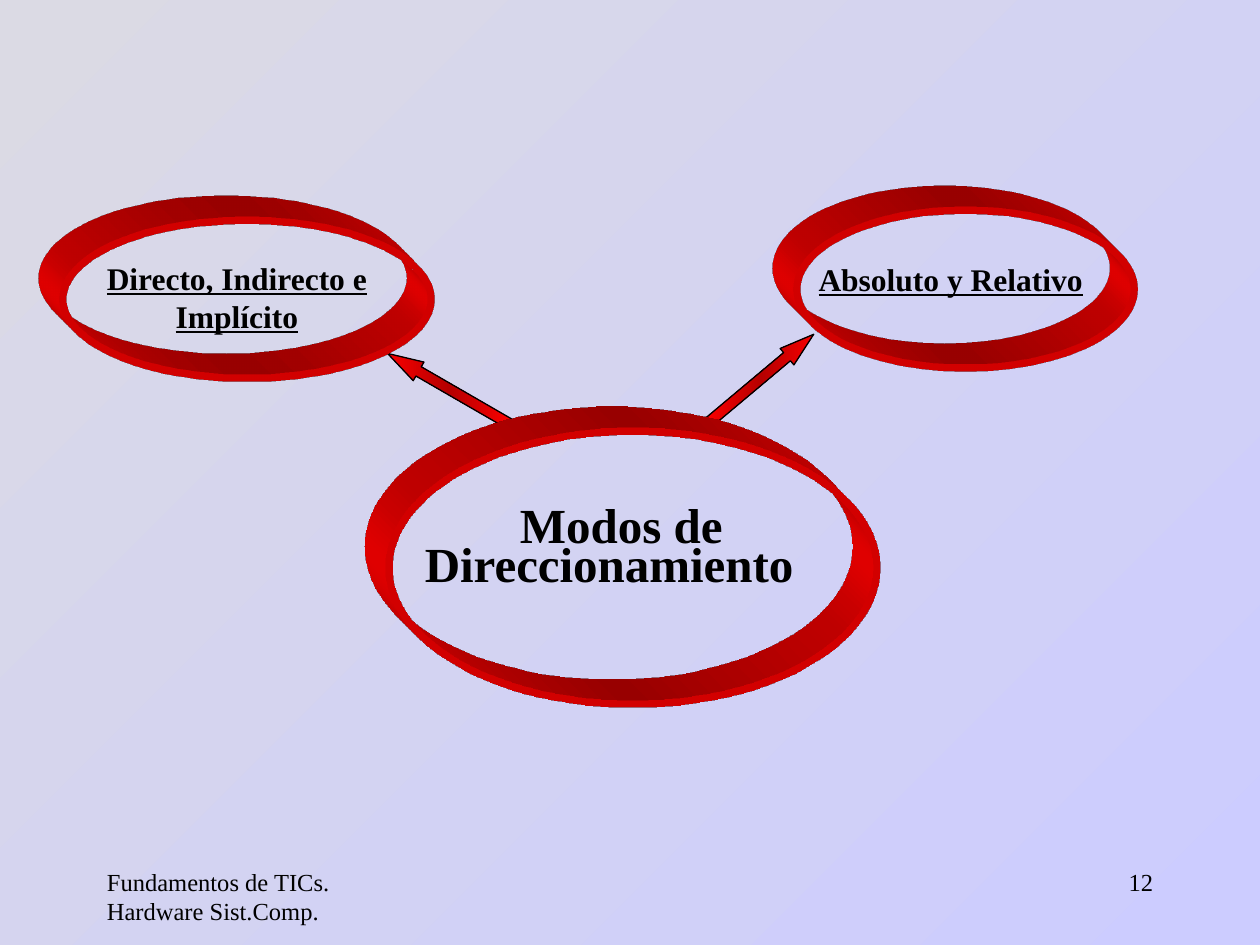
from copy import deepcopy

from lxml import etree
from pptx import Presentation
from pptx.dml.color import RGBColor
from pptx.enum import shapes, text
from pptx.oxml import ns
from pptx.util import Inches, Pt

FONT = "Times New Roman"
BLACK, RED, DARK_RED = "000000", "FF0000", "B60000"
BACKGROUND = ["DBDAE4", "CCCCFF"]

# Content: boxes are left, top, width, height in inches
FOOTERS = [
    ("Fundamentos de TICs. Hardware Sist.Comp.", 0.75, text.PP_ALIGN.LEFT),
    ("12", 7.17, text.PP_ALIGN.RIGHT),
]
MODES = [
    {
        "arrow": (shapes.MSO_SHAPE.LEFT_ARROW, (3, 3, 1.12, 0.17), 30, 1.68),
        "ring": (0.5, 1.75, 2.92, 1.25),
        "label": ("Directo, Indirecto e Implícito", (0.67, 2, 2.42, 0.71)),
    },
    {
        "arrow": (shapes.MSO_SHAPE.UP_ARROW, (5.96, 2.46, 0.17, 1.08), 50, 1.63),
        "ring": (6.33, 1.67, 2.67, 1.25),
        "label": ("Absoluto y Relativo", (6.33, 2.01, 2.43, 0.41)),
    },
]
MAIN_RING = (3.09, 3.42, 3.87, 2.17)
MAIN_LABEL = ("Modos de Direccionamiento", (2.67, 4.04, 4.33, 0.71))

# Depth of the rings, drawn towards the top left
SCENE = f"""<root {ns.nsdecls("a")}>
<a:scene3d><a:camera prst="legacyObliqueTopLeft"/>
<a:lightRig rig="legacyFlat3" dir="b"/></a:scene3d>
<a:sp3d extrusionH="430200" prstMaterial="legacyMatte">
<a:bevelT w="13500" h="13500" prst="angle"/>
<a:bevelB w="13500" h="13500" prst="angle"/>
<a:extrusionClr><a:srgbClr val="{RED}"/></a:extrusionClr>
<a:contourClr><a:srgbClr val="{RED}"/></a:contourClr></a:sp3d>
</root>"""


def color(value):
    return RGBColor.from_string(value)


def inches(box):
    return [Inches(value) for value in box]


def write(parent, words, box, size, align=text.PP_ALIGN.CENTER, bold=False,
          underline=False, spacing=None, indent=0):
    frame = parent.shapes.add_textbox(*inches(box)).text_frame
    frame.word_wrap = True
    paragraph = frame.paragraphs[0]
    paragraph.alignment = align
    if spacing:
        paragraph.line_spacing = Pt(spacing)
    if indent:
        paragraph._p.get_or_add_pPr().set("indent", str(Inches(indent)))
    run = paragraph.add_run()
    run.text = words
    run.font.name = FONT
    run.font.size = Pt(size)
    run.font.bold = bold
    run.font.underline = underline
    run.font.color.rgb = color(BLACK)


def add_shape(parent, kind, box, line, width):
    shape = parent.shapes.add_shape(kind, *inches(box))
    shape.shadow.inherit = False
    shape.line.color.rgb = color(line)
    shape.line.width = Pt(width)
    return shape


def add_ring(parent, box):
    ring = add_shape(parent, shapes.MSO_SHAPE.OVAL, box, RED, 4.25)
    ring.fill.background()
    for part in list(etree.fromstring(SCENE)):
        ring._element.spPr.append(part)


def add_arrow(slide, kind, box, rotation, head):
    arrow = add_shape(slide, kind, box, BLACK, 0.75)
    arrow.rotation = rotation
    arrow.adjustments[0] = 0.5
    arrow.adjustments[1] = head
    # Gradient that stays horizontal when the arrow turns
    arrow.fill.gradient()
    arrow.fill.gradient_angle = 0
    arrow._element.xpath(".//a:gradFill")[0].set("rotWithShape", "0")
    first = arrow._element.xpath(".//a:gs")[0]
    first.addnext(deepcopy(first))
    for index, value in enumerate([RED, DARK_RED, RED]):
        stop = arrow.fill.gradient_stops[index]
        stop.color.rgb = color(value)
        stop.position = index / 2


def main():
    presentation = Presentation()
    presentation.slide_width, presentation.slide_height = Inches(10), Inches(7.5)
    slide = presentation.slides.add_slide(presentation.slide_layouts[6])

    # Background
    background = slide.background.fill
    background.gradient()
    background.gradient_angle = 315
    for stop, value in zip(background.gradient_stops, BACKGROUND):
        stop.color.rgb = color(value)

    # Footer and slide number
    for words, left, align in FOOTERS:
        write(slide, words, (left, 6.83, 2.08, 0.5), 14, align=align)

    # Modes, each an arrow and a labelled ring
    for mode in MODES:
        add_arrow(slide, *mode["arrow"])
        group = slide.shapes.add_group_shape()
        add_ring(group, mode["ring"])
        write(group, *mode["label"], 18, bold=True, underline=True, spacing=22)

    # Main ring covers the arrow tails
    group = slide.shapes.add_group_shape()
    add_ring(group, MAIN_RING)
    write(group, *MAIN_LABEL, 28, bold=True, spacing=22, indent=0.19)

    presentation.save("out.pptx")


if __name__ == "__main__":
    main()
